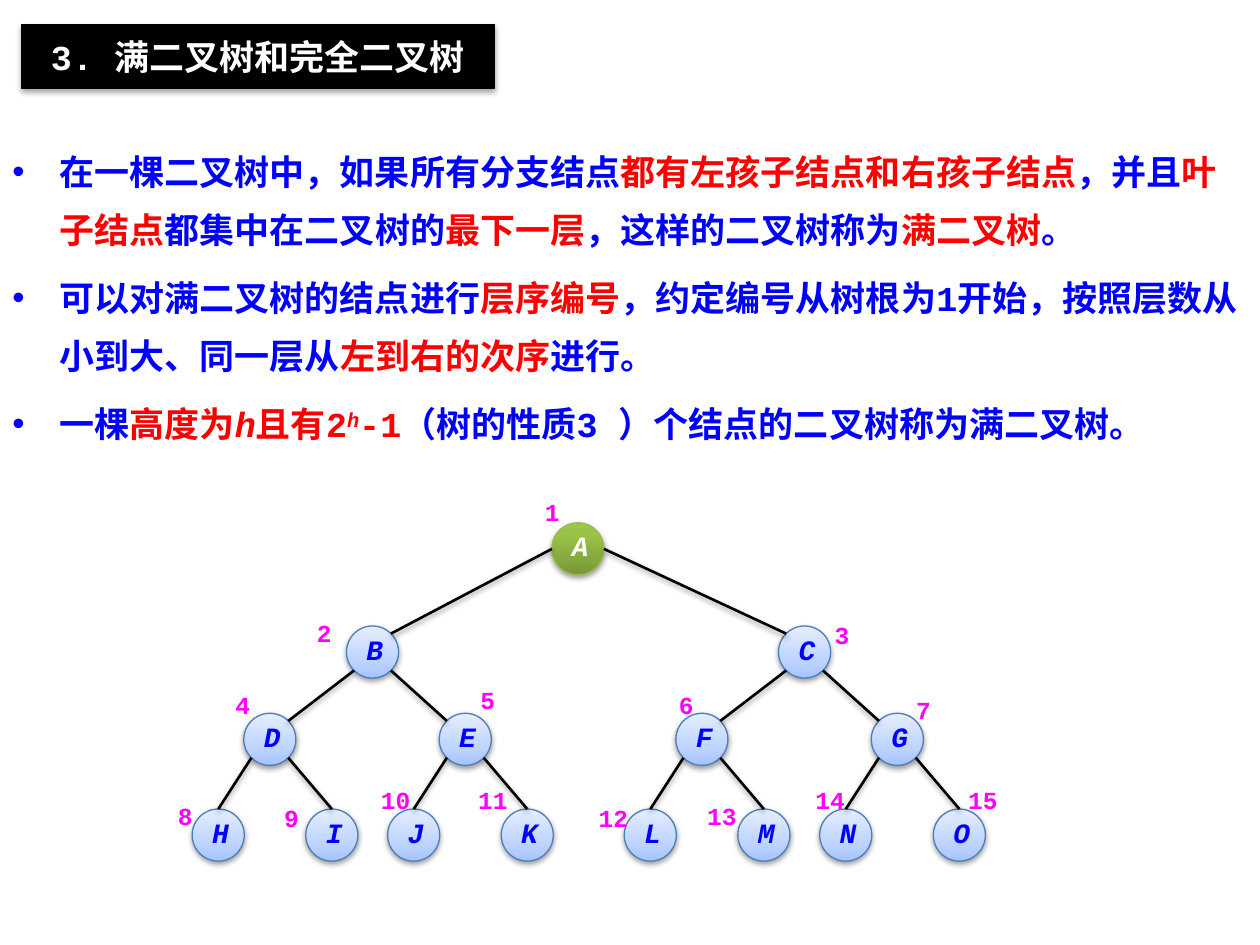
import math
from pptx import Presentation, oxml, util as u
from pptx.dml.color import RGBColor
from pptx.enum import shapes, text
from pptx.oxml import ns

HUES = {"black": "000000", "white": "FFFFFF", "blue": "0000FF",
        "red": "FF0000", "pink": "FF00FF", "rim": "4B7EBC", "leaf": "98B955"}
ROOT = [(0, "779737"), (80, "9BC348"), (100, "9DC746")]
NODE = [(0, "A4C4FF"), (35, "BFD4FF"), (100, "E6EEFF")]

POINTS = [
    [("blue", "在一棵二叉树中，如果所有分支结点"), ("red", "都有左孩子结点和右孩子结点"),
     ("blue", "，并且"), ("red", "叶子结点"), ("blue", "都集中在二叉树的"),
     ("red", "最下一层"), ("blue", "，这样的二叉树称为"), ("red", "满二叉树"), ("blue", "。")],
    [("blue", "可以对满二叉树的结点进行"), ("red", "层序编号"),
     ("blue", "，约定编号从树根为1开始，按照层数从小到大、同一层从"),
     ("red", "左到右的次序"), ("blue", "进行。")],
    [("blue", "一棵"), ("red", "高度为"), ("red", "h", True), ("red", "且有2"),
     ("red", "h", True, 30), ("red", "-1"),
     ("blue", "（树的性质3 ）个结点的二叉树称为满二叉树。")],
]

SIZE = 1.05
TOPS = [10.54, 12.62, 14.38, 16.31]
STEPS = [(-4.14, 4.57), (-2.07, 1.87), (-1.04, 1.25)]
TAGS = [(-0.61, -0.41), (-1.07, -0.05), (0.66, 0), (-0.64, -0.36), (0.36, -0.46),
        (-0.41, -0.36), (0.43, -0.25), (-0.76, -0.05), (-0.91, 0), (-0.46, -0.38),
        (-0.79, -0.38), (-0.84, 0), (-0.94, -0.05), (-0.41, -0.38), (0.38, -0.38)]


def make(tag, **attrs):
    item = oxml.parse_xml(f"<{tag} {ns.nsdecls('a')}/>")
    for key, val in attrs.items():
        item.set(key, str(val))
    return item


class Board:
    latin = "Courier New"
    asian = "Noto Sans CJK SC"

    def __init__(self, slide):
        self.slide = slide
        self.items = slide.shapes

    def hue(self, name):
        return RGBColor.from_string(HUES[name])

    def style(self, run, size, hue, slant=False, lift=0):
        font = run.font
        font.name, font.size, font.bold = self.latin, u.Pt(size), True
        font.italic = slant
        font.color.rgb = self.hue(hue)
        props = run._r.get_or_add_rPr()
        props.append(make("a:ea", typeface=self.asian))
        if lift:
            props.set("baseline", str(lift * 1000))

    def shade(self, item, dim=38, dist=20000):
        props = item._element.spPr
        for old in props.findall(ns.qn("a:effectLst")):
            props.remove(old)
        drop = make("a:outerShdw", blurRad=40000, dist=dist, dir=5400000, rotWithShape=0)
        tint = make("a:srgbClr", val=HUES["black"])
        tint.append(make("a:alpha", val=dim * 1000))
        drop.append(tint)
        group = make("a:effectLst")
        group.append(drop)
        props.append(group)

    def label(self, item, words, size, hue, slant=False, pack=0.8):
        frame = item.text_frame
        frame.text = words
        frame.word_wrap = True
        para = frame.paragraphs[0]
        para.alignment = text.PP_ALIGN.CENTER
        para.line_spacing = pack
        para.space_before = u.Pt(0)
        self.style(para.runs[0], size, hue, slant)
        return frame

    def title(self, words, left, top, wide, high):
        item = self.items.title
        item.left, item.top = u.Cm(left), u.Cm(top)
        item.width, item.height = u.Cm(wide), u.Cm(high)
        item.fill.solid()
        item.fill.fore_color.rgb = self.hue("black")
        item.line.color.rgb = self.hue("black")
        item.line.width = u.Pt(0.75)
        self.shade(item, 35, 23000)
        frame = self.label(item, words, 20, "white", pack=1.0)
        frame.auto_size = text.MSO_AUTO_SIZE.NONE
        frame.vertical_anchor = text.MSO_ANCHOR.MIDDLE

    def body(self, points, left, top, wide, high):
        box = self.items.add_textbox(u.Cm(left), u.Cm(top), u.Cm(wide), u.Cm(high))
        frame = box.text_frame
        frame.word_wrap = True
        for rank, parts in enumerate(points):
            para = frame.add_paragraph() if rank else frame.paragraphs[0]
            props = para._p.get_or_add_pPr()
            props.set("marL", str(u.Cm(0.95)))
            props.set("indent", str(-u.Cm(0.95)))
            props.append(make("a:buFont", typeface="Arial"))
            props.append(make("a:buChar", char="•"))
            para.line_spacing = u.Pt(33)
            para.space_before = u.Pt(6 if rank else 0)
            for hue, words, *rest in parts:
                run = para.add_run()
                run.text = words
                self.style(run, 20, hue, *rest)

    def node(self, name, mid, top, stops, rim, ink):
        item = self.items.add_shape(shapes.MSO_SHAPE.OVAL, u.Cm(mid - SIZE / 2),
                                    u.Cm(top), u.Cm(SIZE), u.Cm(SIZE))
        item.fill.gradient()
        item.fill.gradient_angle = 90
        ramp = item._element.spPr.find(".//" + ns.qn("a:gsLst"))
        for old in list(ramp):
            ramp.remove(old)
        for pos, code in stops:
            stop = make("a:gs", pos=pos * 1000)
            stop.append(make("a:srgbClr", val=code))
            ramp.append(stop)
        item.line.color.rgb = self.hue(rim)
        item.line.width = u.Pt(0.75)
        self.shade(item)
        frame = self.label(item, name, 16, ink, True)
        frame.vertical_anchor = text.MSO_ANCHOR.MIDDLE

    def edge(self, start, end):
        item = self.items.add_connector(shapes.MSO_CONNECTOR.STRAIGHT,
                                        *(u.Cm(val) for val in (*start, *end)))
        item.line.color.rgb = self.hue("black")
        item.line.width = u.Pt(1.5)
        self.shade(item)

    def tag(self, words, left, top):
        box = self.items.add_textbox(u.Cm(left), u.Cm(top), u.Cm(1.24), u.Cm(0.6))
        frame = self.label(box, words, 14, "pink")
        frame.margin_left = frame.margin_right = 0
        frame.margin_top = frame.margin_bottom = 0


def rim(spot, angle):
    turn = math.radians(angle)
    mid, top = spot
    return (mid + SIZE / 2 * math.cos(turn),
            top + SIZE / 2 - SIZE / 2 * math.sin(turn))


def tree(board):
    spots = {1: (11.65, TOPS[0])}
    for num in range(2, 16):
        level = num.bit_length() - 1
        step = STEPS[level - 1][num % 2]
        spots[num] = (spots[num // 2][0] + step, TOPS[level])
    for num, spot in spots.items():
        look = (ROOT, "leaf", "white") if num == 1 else (NODE, "rim", "blue")
        board.node("ABCDEFGHIJKLMNO"[num - 1], *spot, *look)
    for num in range(2, 16):
        right = num % 2
        away = (0 if right else 180) if num < 4 else (-45 if right else -135)
        near = 90 if num > 7 else (135 if right else 45)
        board.edge(rim(spots[num // 2], away), rim(spots[num], near))
    for num, (mid, top) in spots.items():
        across, down = TAGS[num - 1]
        board.tag(str(num), mid - SIZE / 2 + across, top + down)


def main():
    deck = Presentation()
    deck.slide_width, deck.slide_height = u.Cm(25.4), u.Cm(19.05)
    board = Board(deck.slides.add_slide(deck.slide_layouts[5]))
    board.title("3. 满二叉树和完全二叉树", 0.43, 0.5, 9.54, 1.28)
    board.body(POINTS, 0, 2.6, 25.4, 6.43)
    tree(board)
    deck.save("out.pptx")


if __name__ == "__main__":
    main()
